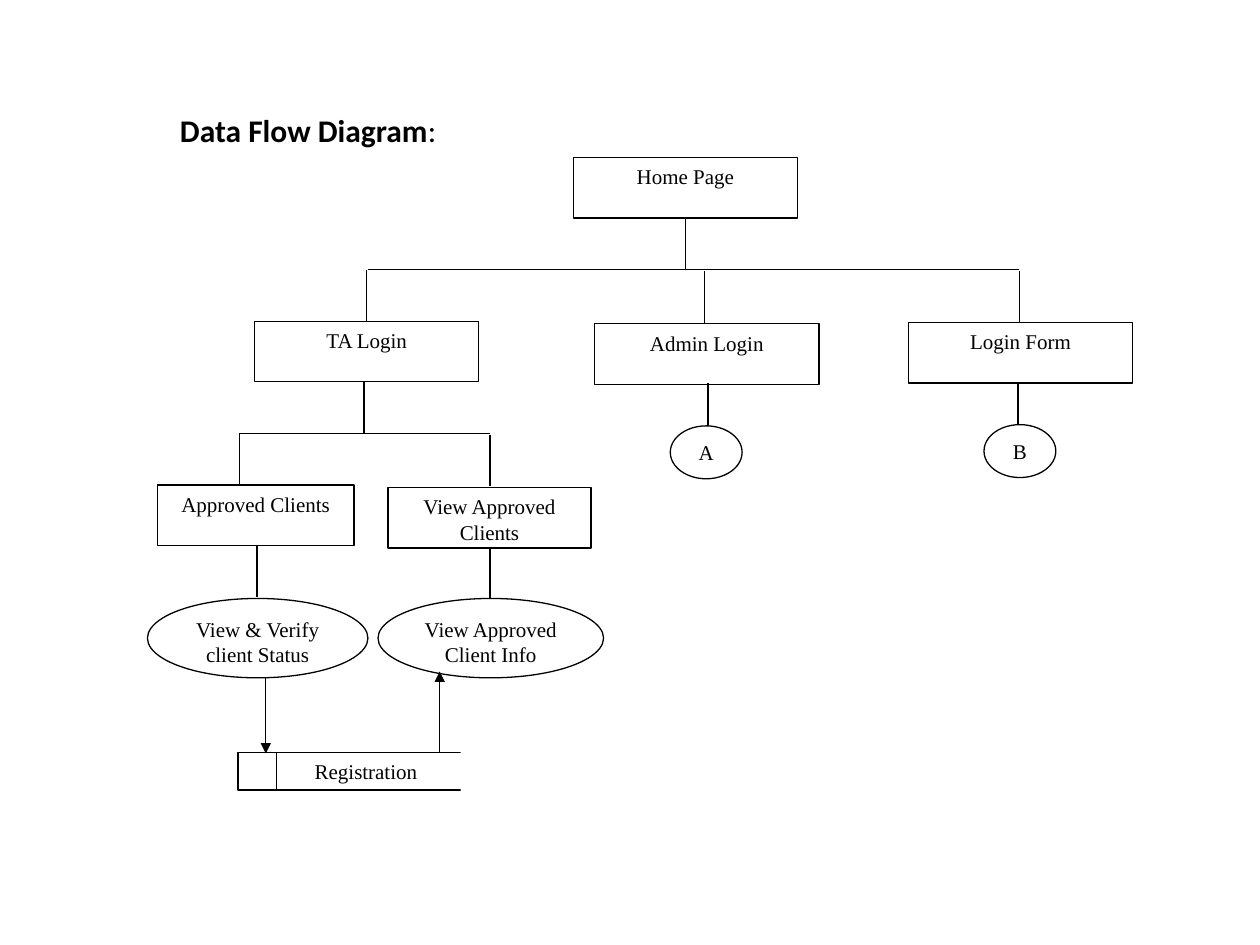
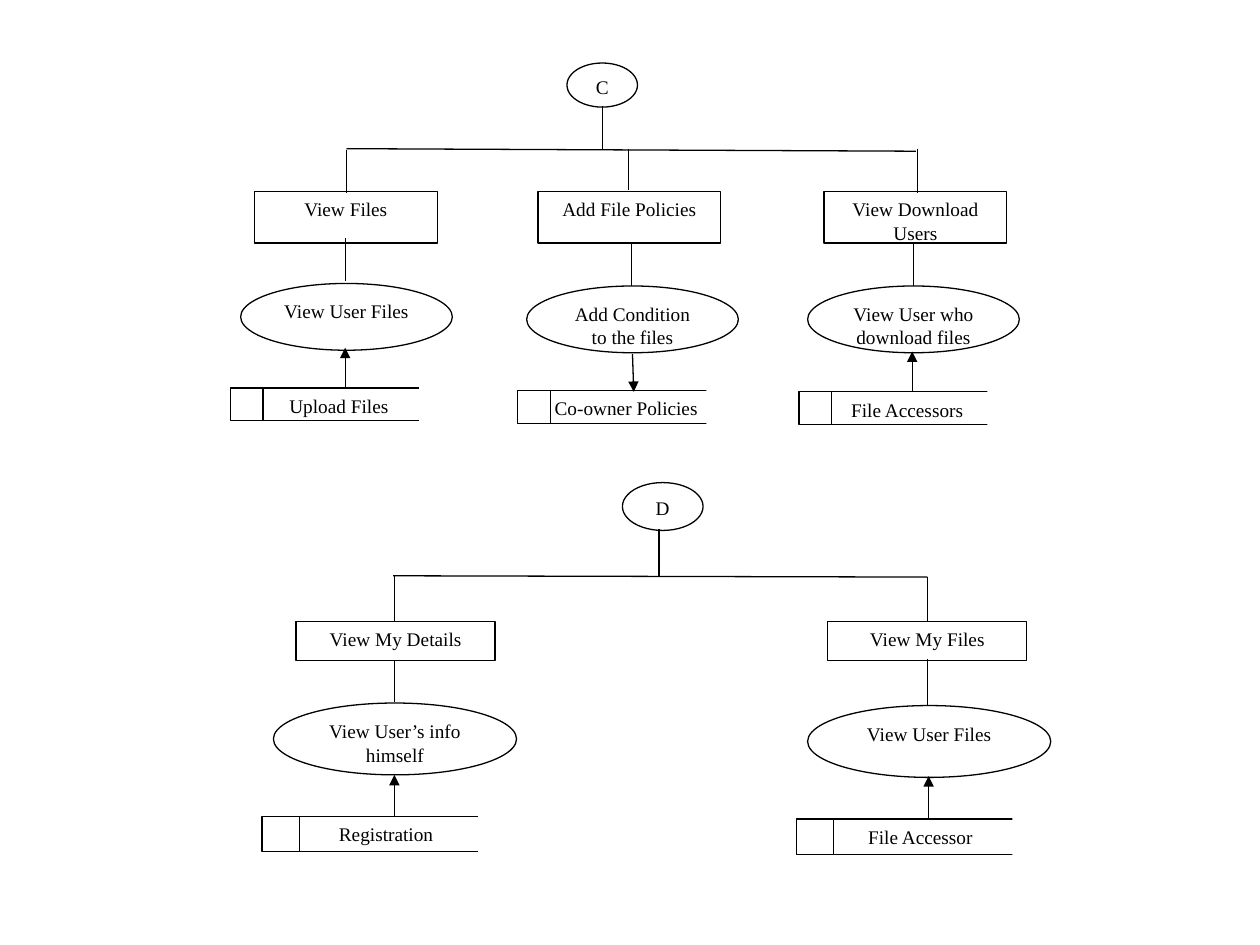
import pptx
import pptx.dml.color
import pptx.enum.shapes
import pptx.enum.text
import pptx.util
from dataclasses import dataclass
from lxml import etree
from pptx.util import Inches


@dataclass(frozen=True)
class Theme:
    ink: pptx.dml.color.RGBColor = pptx.dml.color.RGBColor(0, 0, 0)
    paper: pptx.dml.color.RGBColor = pptx.dml.color.RGBColor(255, 255, 255)
    title_font: str = "Calibri"
    label_font: str = "Times New Roman"
    title_size: int = 18
    label_gap: int = 10
    line_width: float = 0.75


theme = Theme()
DRAWING = "{http://schemas.openxmlformats.org/drawingml/2006/main}"
RECTANGLE = pptx.enum.shapes.MSO_SHAPE.RECTANGLE
OVAL = pptx.enum.shapes.MSO_SHAPE.OVAL

# Each size group: shape, width, height, then (label, left, top) entries.
# Stores use the same form; lines and arrows are (x1, y1, x2, y2).
login_flow = {
    "label_size": 12,
    "nodes": [
        (RECTANGLE, 1.78, 0.48, [
            ("Home Page", 4.55, 1.25), ("TA Login", 2.02, 2.55),
            ("Admin Login", 4.72, 2.57), ("Login Form", 7.21, 2.56)]),
        (RECTANGLE, 1.56, 0.48, [("Approved Clients", 1.25, 3.85)]),
        (RECTANGLE, 1.61, 0.48, [("View Approved Clients", 3.08, 3.87)]),
        (OVAL, 1.75, 0.63, [("View & Verify client Status", 1.17, 4.75)]),
        (OVAL, 1.79, 0.63, [("View Approved Client Info", 3, 4.75)]),
        (OVAL, 0.57, 0.42, [("A", 5.32, 3.38), ("B", 7.81, 3.37)]),
    ],
    "stores": [(2.03, 0.3, [("Registration", 1.89, 5.97)])],
    "lines": [
        (5.44, 1.73, 5.44, 2.14), (2.92, 2.14, 8.09, 2.14),
        (2.91, 2.14, 2.91, 2.55), (5.59, 2.15, 5.59, 2.56),
        (8.09, 2.15, 8.09, 2.56), (2.89, 3.03, 2.89, 3.44),
        (1.9, 3.44, 3.89, 3.44), (3.89, 3.45, 3.89, 3.86),
        (1.9, 3.44, 1.9, 3.85), (3.89, 4.34, 3.89, 4.75),
        (2.04, 4.33, 2.04, 4.74), (5.62, 3.04, 5.62, 3.38),
        (8.08, 3.03, 8.08, 3.37),
    ],
    "arrows": [(2.11, 5.38, 2.11, 5.98), (3.49, 5.97, 3.49, 5.33)],
}

file_flow = {
    "label_size": 11,
    "nodes": [
        # Branch C
        (OVAL, 0.56, 0.35, [("C", 4.5, 0.5)]),
        (RECTANGLE, 1.45, 0.41, [
            ("View Files", 2.02, 1.52), ("Add File Policies", 4.27, 1.52),
            ("View Download Users", 6.54, 1.52)]),
        (OVAL, 1.68, 0.53, [
            ("View User Files", 1.91, 2.25),
            ("Add Condition to the files", 4.18, 2.27),
            ("View User who download files", 6.41, 2.27)]),
        # Branch D
        (OVAL, 0.64, 0.38, [("D", 4.94, 3.83)]),
        (RECTANGLE, 1.58, 0.31, [
            ("View My Details", 2.35, 4.93), ("View My Files", 6.57, 4.93)]),
        (OVAL, 1.93, 0.57, [
            ("View User’s info himself", 2.17, 5.58),
            ("View User Files", 6.41, 5.6)]),
    ],
    "stores": [
        (1.72, 0.26, [
            ("Upload Files", 1.83, 3.08), ("Co-owner Policies", 4.11, 3.1),
            ("File Accessors", 6.34, 3.11)]),
        (1.97, 0.28, [
            ("Registration", 2.08, 6.48), ("File Accessor", 6.32, 6.5)]),
    ],
    "lines": [
        # Branch C
        (4.78, 0.84, 4.78, 1.19), (2.75, 1.18, 7.27, 1.2),
        (2.75, 1.19, 2.75, 1.53), (4.99, 1.18, 4.99, 1.51),
        (7.28, 1.18, 7.28, 1.53), (2.74, 1.89, 2.74, 2.23),
        (5.01, 1.92, 5.01, 2.27), (7.25, 1.93, 7.25, 2.27),
        # Branch D
        (5.23, 4.2, 5.23, 4.57), (3.12, 4.57, 7.36, 4.58),
        (3.13, 4.57, 3.13, 4.94), (7.36, 4.58, 7.36, 4.94),
        (3.13, 5.24, 3.13, 5.57), (7.36, 5.23, 7.36, 5.6),
    ],
    "arrows": [
        (2.74, 3.07, 2.74, 2.76), (5.02, 2.81, 5.03, 3.11),
        (7.24, 3.1, 7.24, 2.79), (3.13, 6.48, 3.13, 6.15),
        (7.37, 6.5, 7.37, 6.16),
    ],
}


def add_node(page, kind, left, top, width, height, label="", size=None):
    """Add a white shape; one with a label also gets an outline."""
    node = page.shapes.add_shape(
        kind, Inches(left), Inches(top), Inches(width), Inches(height))
    node.shadow.inherit = False
    node.fill.solid()
    node.fill.fore_color.rgb = theme.paper
    if not label:
        node.line.fill.background()
        return
    node.line.color.rgb = theme.ink
    node.line.width = pptx.util.Pt(theme.line_width)
    node.text_frame.word_wrap = True
    node.text_frame.vertical_anchor = pptx.enum.text.MSO_ANCHOR.TOP
    para = node.text_frame.paragraphs[0]
    para.text = label
    para.alignment = pptx.enum.text.PP_ALIGN.CENTER
    para.space_after = pptx.util.Pt(theme.label_gap)
    para.font.name = theme.label_font
    para.font.size = pptx.util.Pt(size)
    para.font.color.rgb = theme.ink


def add_line(page, ends, arrow=False):
    line = page.shapes.add_connector(
        pptx.enum.shapes.MSO_CONNECTOR.STRAIGHT, *map(Inches, ends))
    line.line.color.rgb = theme.ink
    line.line.width = pptx.util.Pt(theme.line_width)
    properties = line._element.spPr
    if arrow:
        outline = properties.find(DRAWING + "ln")
        etree.SubElement(outline, DRAWING + "tailEnd", type="triangle")
    etree.SubElement(properties, DRAWING + "effectLst")


deck = pptx.Presentation()
deck.slide_width = Inches(10)
deck.slide_height = Inches(7.5)

for flow in (login_flow, file_flow):
    page = deck.slides.add_slide(deck.slide_layouts[6])
    label_size = flow["label_size"]

    # Boxes and ovals
    for kind, width, height, entries in flow["nodes"]:
        for label, left, top in entries:
            add_node(page, kind, left, top, width, height, label, label_size)

    # Data stores: a box opened on the right, with a divider on the left
    for width, height, entries in flow["stores"]:
        for label, left, top in entries:
            add_node(page, RECTANGLE, left, top, width, height, label, label_size)
            add_node(page, RECTANGLE, left + 0.87 * width, top - 0.05,
                     0.2 * width, height + 0.1)
            divider = left + 0.15 * width
            add_line(page, (divider, top, divider, top + height))

    # Connections
    for ends in flow["lines"]:
        add_line(page, ends)
    for ends in flow["arrows"]:
        add_line(page, ends, arrow=True)

# Title on the first page
box = deck.slides[0].shapes.add_textbox(
    Inches(1.33), Inches(0.83), Inches(2.25), Inches(0.4))
box.text_frame.word_wrap = False
box.text_frame.auto_size = pptx.enum.text.MSO_AUTO_SIZE.SHAPE_TO_FIT_TEXT
para = box.text_frame.paragraphs[0]
para.font.name = theme.title_font
para.font.size = pptx.util.Pt(theme.title_size)
para.font.color.rgb = theme.ink
for text, bold in (("Data Flow Diagram", True), (":", False)):
    span = para.add_run()
    span.text = text
    span.font.bold = bold

deck.save("out.pptx")
